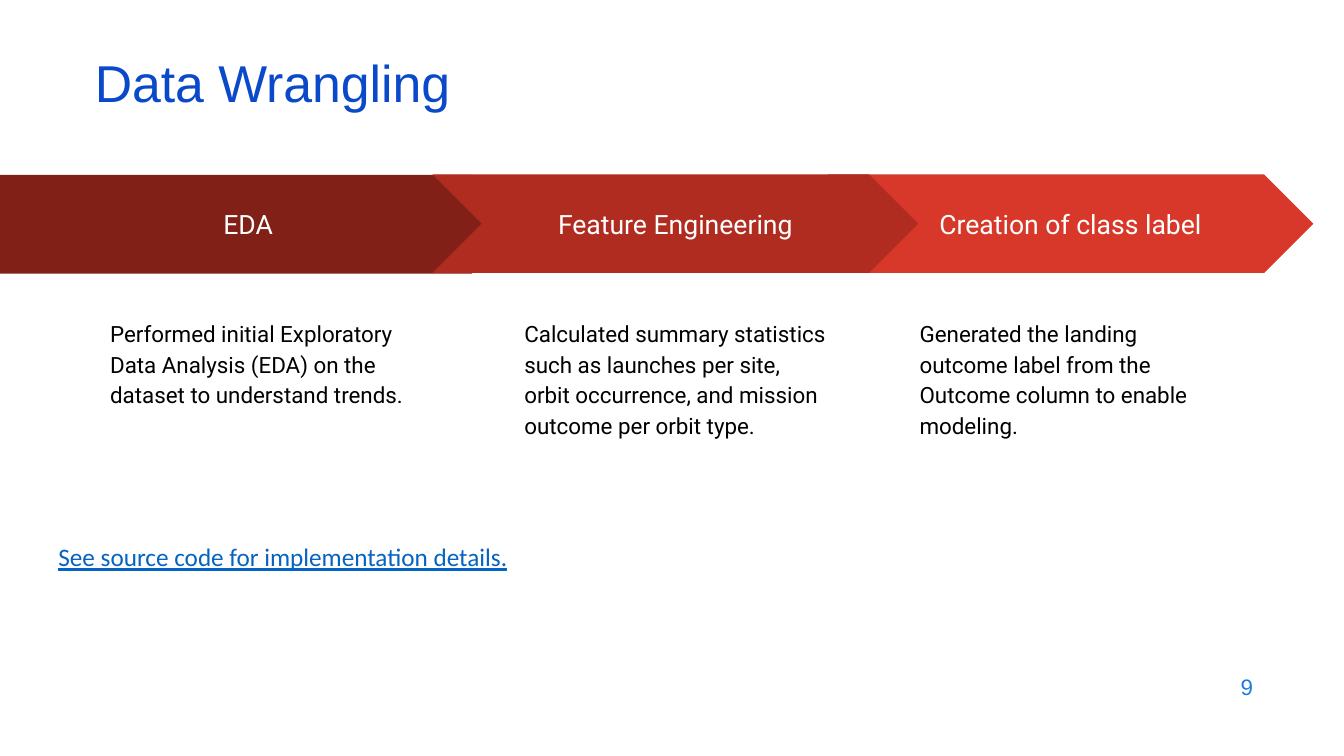
from pptx import Presentation
from pptx.dml.color import RGBColor
from pptx.enum.shapes import MSO_SHAPE
from pptx.enum.text import MSO_ANCHOR, MSO_AUTO_SIZE, PP_ALIGN
from pptx.util import Pt

CHEVRON, PENTAGON = MSO_SHAPE.CHEVRON, MSO_SHAPE.PENTAGON
TOP, MIDDLE = MSO_ANCHOR.TOP, MSO_ANCHOR.MIDDLE
LEFT, CENTER, RIGHT = PP_ALIGN.LEFT, PP_ALIGN.CENTER, PP_ALIGN.RIGHT
NO_FIT = MSO_AUTO_SIZE.NONE

WHITE = RGBColor(0xFF, 0xFF, 0xFF)
BLACK = RGBColor(0x00, 0x00, 0x00)
TITLE_BLUE = RGBColor(0x0B, 0x49, 0xCB)
NUMBER_BLUE = RGBColor(0x1C, 0x7D, 0xDB)
LINK_BLUE = RGBColor(0x05, 0x63, 0xC1)
DARK_RED = RGBColor(0x80, 0x20, 0x17)
MID_RED = RGBColor(0xB0, 0x2C, 0x20)
BRIGHT_RED = RGBColor(0xD8, 0x38, 0x29)

# Content
TITLE = "Data Wrangling"
PAGE_NUMBER = "9"
SOURCE_NOTE = "See source code for implementation details."
# Steps from back to front: label, description, arrow, colour,
# arrow left, top and width, description left (points)
STEPS = [
    ("Creation of class label",
     "Generated the landing outcome label from the Outcome column to enable modeling.",
     CHEVRON, BRIGHT_RED, 591.1, 124.6, 347, 647.3),
    ("EDA",
     "Performed initial Exploratory Data Analysis (EDA) on the dataset to understand trends.",
     PENTAGON, DARK_RED, 0, 125, 372.2, 69.1),
    ("Feature Engineering",
     "Calculated summary statistics such as launches per site, orbit occurrence, "
     "and mission outcome per orbit type.",
     CHEVRON, MID_RED, 308.9, 124.6, 347, 365),
]
ARROW_HEIGHT = 70.4
DESCRIPTION_TOP, DESCRIPTION_WIDTH, DESCRIPTION_HEIGHT = 216, 234.7, 274.3
STEP_INSET = 9.6


def write(holder, text, *, size, color, font="Roboto", align=LEFT, anchor=TOP,
          spacing=1.0, inset_x=7.2, inset_y=3.6, underline=None):
    frame = holder.text_frame
    frame.word_wrap = True
    frame.auto_size = NO_FIT
    frame.vertical_anchor = anchor
    frame.margin_left = frame.margin_right = Pt(inset_x)
    frame.margin_top = frame.margin_bottom = Pt(inset_y)
    frame.text = text
    paragraph = frame.paragraphs[0]
    paragraph.alignment = align
    paragraph.line_spacing = spacing
    paragraph.space_before = Pt(0)
    run_font = paragraph.runs[0].font
    run_font.name = font
    run_font.size = Pt(size)
    run_font.color.rgb = color
    run_font.underline = underline


deck = Presentation()
deck.slide_width, deck.slide_height = Pt(960), Pt(540)
slide = deck.slides.add_slide(deck.slide_layouts[5])
shapes = slide.shapes

# Title
heading = shapes.title
heading.left, heading.top = Pt(60.5), Pt(42.5)
heading.width, heading.height = Pt(828), Pt(43.2)
write(heading, TITLE, size=37, color=TITLE_BLUE, font="Arial",
      anchor=MIDDLE, spacing=0.7)

# Page number
page_number = shapes.add_textbox(Pt(686.2), Pt(474.5), Pt(216), Pt(31.7))
write(page_number, PAGE_NUMBER, size=16, color=NUMBER_BLUE, font="Arial",
      align=RIGHT, anchor=MIDDLE)

# Process steps
for label, description, outline, color, left, top, width, description_left in STEPS:
    step = shapes.add_shape(outline, Pt(left), Pt(top), Pt(width), Pt(ARROW_HEIGHT))
    step.adjustments[0] = 0.5
    step.shadow.inherit = False
    step.fill.solid()
    step.fill.fore_color.rgb = color
    step.line.fill.background()
    write(step, label, size=19, color=WHITE, align=CENTER, anchor=MIDDLE,
          inset_x=STEP_INSET, inset_y=STEP_INSET)

    details = shapes.add_textbox(Pt(description_left), Pt(DESCRIPTION_TOP),
                                 Pt(DESCRIPTION_WIDTH), Pt(DESCRIPTION_HEIGHT))
    write(details, description, size=16, color=BLACK, spacing=1.15,
          inset_x=STEP_INSET, inset_y=STEP_INSET)

# Source note
source_note = shapes.add_textbox(Pt(34.6), Pt(385.9), Pt(540.7), Pt(131.8))
write(source_note, SOURCE_NOTE, size=18, color=LINK_BLUE, font="Calibri",
      spacing=0.9, underline=True)

deck.save("out.pptx")
